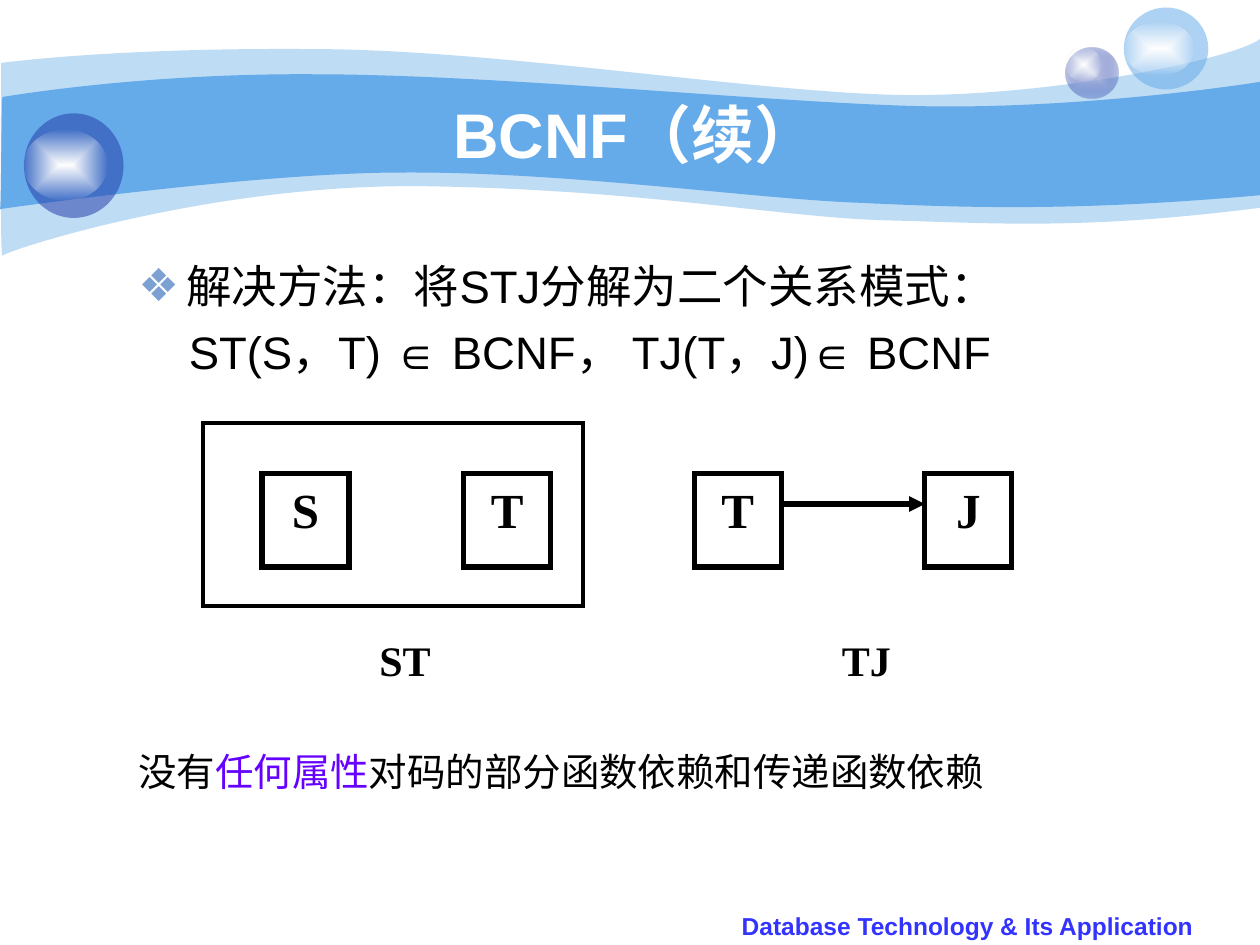
from lxml import etree
from pptx import Presentation, util as u
from pptx.dml import color
from pptx.enum import shapes as s, text as t
from pptx.oxml import ns

In = u.Inches
rgb = color.RGBColor.from_string


def paint(shp, stops):
    shp.shadow.inherit = False
    shp.line.fill.background()
    if len(stops) == 1:
        shp.fill.solid()
        shp.fill.fore_color.rgb = rgb(stops[0][0])
    else:
        shp.fill.gradient()
        for stop, (hue, _) in zip(shp.fill.gradient_stops, stops):
            stop.color.rgb = rgb(hue)
        lin = shp.element.find(".//" + ns.qn("a:lin"))
        way = etree.Element(ns.qn("a:path"), path="rect")
        etree.SubElement(way, ns.qn("a:fillToRect"), l="50000", t="50000", r="50000", b="50000")
        lin.getparent().replace(lin, way)
    tags = shp.element.spPr.findall(".//" + ns.qn("a:srgbClr"))
    for tag, (_, pct) in zip(tags, stops):
        if pct < 100:
            etree.SubElement(tag, ns.qn("a:alpha"), val=str(pct * 1000))


def write(shp, runs, size, face="Arial", bold=False, align=t.PP_ALIGN.LEFT, para=None):
    shp.text_frame.word_wrap = True
    para = para or shp.text_frame.paragraphs[0]
    para.alignment = align
    for words, hue in runs:
        run = para.add_run()
        run.text = words
        for key, val in {"size": u.Pt(size), "name": face, "bold": bold}.items():
            setattr(run.font, key, val)
        run.font.color.rgb = rgb(hue)
    return para


prs = Presentation()
prs.slide_width, prs.slide_height = In(10), In(7.5)
slide = prs.slides.add_slide(prs.slide_layouts[5])
shapes = slide.shapes
mid = t.PP_ALIGN.CENTER

bands = [
    (41, (0.01, 0.5), [
        [(0.25, 0.47), (1.08, 0.38), (2.47, 0.39)],
        [(3.86, 0.39), (5.76, 0.7), (6.99, 0.75)],
        [(8.22, 0.8), (9.8, 0.47), (10, 0.31)],
        [(10, 1.65)],
        [(8.58, 1.83), (7.88, 1.77), (7.05, 1.75)],
        [(6.22, 1.73), (5.15, 1.51), (3.44, 1.48)],
        [(1.72, 1.44), (0.05, 1.99), (0.02, 2.03)],
        [(0, 2.08), (0.01, 0.75), (0.01, 0.5)]]),
    (100, (0.02, 0.77), [
        [(0.03, 0.77), (1.11, 0.58), (2.49, 0.59)],
        [(3.87, 0.59), (5.96, 0.8), (7.19, 0.84)],
        [(8.41, 0.88), (9.76, 0.69), (10, 0.65)],
        [(10, 1.55)],
        [(8.53, 1.68), (7.66, 1.65), (6.82, 1.61)],
        [(5.99, 1.58), (4.48, 1.36), (3.18, 1.37)],
        [(2.04, 1.37), (-0.01, 1.66), (0, 1.66)],
        [(0.01, 1.66), (0.01, 0.77), (0.02, 0.77)]]),
]
for pct, start, parts in bands:
    pen = shapes.build_freeform(In(start[0]), In(start[1]))
    pen.add_line_segments([(In(x), In(y)) for part in parts for x, y in part], close=True)
    band = pen.convert_to_shape()
    legs = iter(band.element.findall(".//" + ns.qn("a:lnTo")))
    for part in parts:
        first, *rest = [next(legs) for _ in part]
        if rest:
            curve = etree.Element(ns.qn("a:cubicBezTo"))
            first.addprevious(curve)
            for leg in (first, *rest):
                curve.append(leg[0])
                leg.getparent().remove(leg)
    paint(band, [("65AAE9", pct)])

glow = [("FFFFFF", 100), ("FFFFFF", 0)]
for box, stops in [
    ((8.46, 0.38, 0.42, 0.4), [("C7CEE9", 100), ("233DA9", 31)]),
    ((8.46, 0.38, 0.28, 0.27), glow),
    ((8.92, 0.06, 0.67, 0.65), [("65AAE9", 53)]),
    ((8.92, 0.17, 0.56, 0.43), glow),
    ((0.19, 0.9, 0.79, 0.83), [("233DA9", 53)]),
    ((0.19, 1.03, 0.66, 0.56), glow),
]:
    paint(shapes.add_shape(s.MSO_SHAPE.OVAL, *map(In, box)), stops)

title = shapes.title
title.element.getparent().append(title.element)
for key, val in {"left": 1, "top": 0.75, "width": 8.08, "height": 0.62}.items():
    setattr(title, key, In(val))
title.text_frame.vertical_anchor = t.MSO_ANCHOR.MIDDLE
write(title, [("BCNF（续）", "FFFFFF")], 36, bold=True, align=mid)

body = shapes.add_textbox(In(1), In(2), In(8.5), In(1.2))
lead = write(body, [("解决方法：将STJ分解为二个关系模式：", "000000")], 26)
ppr = lead._p.get_or_add_pPr()
ppr.set("marL", str(In(0.38)))
ppr.set("indent", str(-In(0.38)))
hue = etree.SubElement(ppr, ns.qn("a:buClr"))
etree.SubElement(hue, ns.qn("a:srgbClr"), val="7DA0D3")
etree.SubElement(ppr, ns.qn("a:buFont"), typeface="Arial")
etree.SubElement(ppr, ns.qn("a:buChar"), char="❖")
next_p = body.text_frame.add_paragraph()
next_p.space_before = u.Pt(6.5)
write(body, [("ST(S，T) ∈ BCNF， TJ(T，J)∈ BCNF", "000000")], 26, para=next_p)
next_p._p.get_or_add_pPr().set("marL", str(In(0.4)))

note = shapes.add_textbox(In(1), In(5.89), In(8.5), In(0.5))
write(note, [("没有", "000000"), ("任何属性", "6600FF"),
             ("对码的部分函数依赖和传递函数依赖", "000000")], 22)

serif = "Times New Roman"
for name, x, y, w, h, width in [
    ("S", 2.08, 3.76, 0.69, 0.74, 3),
    ("T", 3.68, 3.76, 0.69, 0.74, 3),
    ("T", 5.51, 3.76, 0.69, 0.74, 3),
    ("J", 7.34, 3.76, 0.69, 0.74, 3),
    ("", 1.61, 3.36, 3.02, 1.45, 2.25),
]:
    box = shapes.add_shape(s.MSO_SHAPE.RECTANGLE, In(x), In(y), In(w), In(h))
    box.shadow.inherit = False
    box.fill.background()
    box.line.color.rgb = rgb("000000")
    box.line.width = u.Pt(width)
    etree.SubElement(box.line._get_or_add_ln(), ns.qn("a:miter"), lim="800000")
    if name:
        box.text_frame.vertical_anchor = t.MSO_ANCHOR.TOP
        write(box, [(name, "000000")], 28, serif, True, mid)

arrow = shapes.add_connector(s.MSO_CONNECTOR.STRAIGHT, In(6.19), In(4), In(7.34), In(4))
arrow.line.color.rgb = rgb("000000")
arrow.line.width = u.Pt(3)
etree.SubElement(arrow.line._get_or_add_ln(), ns.qn("a:tailEnd"), type="triangle")
etree.SubElement(arrow.element.spPr, ns.qn("a:effectLst"))

for name, x in [("ST", 2.76), ("TJ", 6.42)]:
    label = shapes.add_textbox(In(x), In(4.99), In(0.91), In(0.74))
    write(label, [(name, "000000")], 24, serif, True, mid)

foot = shapes.add_textbox(In(5.71), In(7.18), In(3.94), In(0.35))
write(foot, [("Database Technology & Its Application", "3333FF")], 14, bold=True, align=mid)

prs.save("out.pptx")
